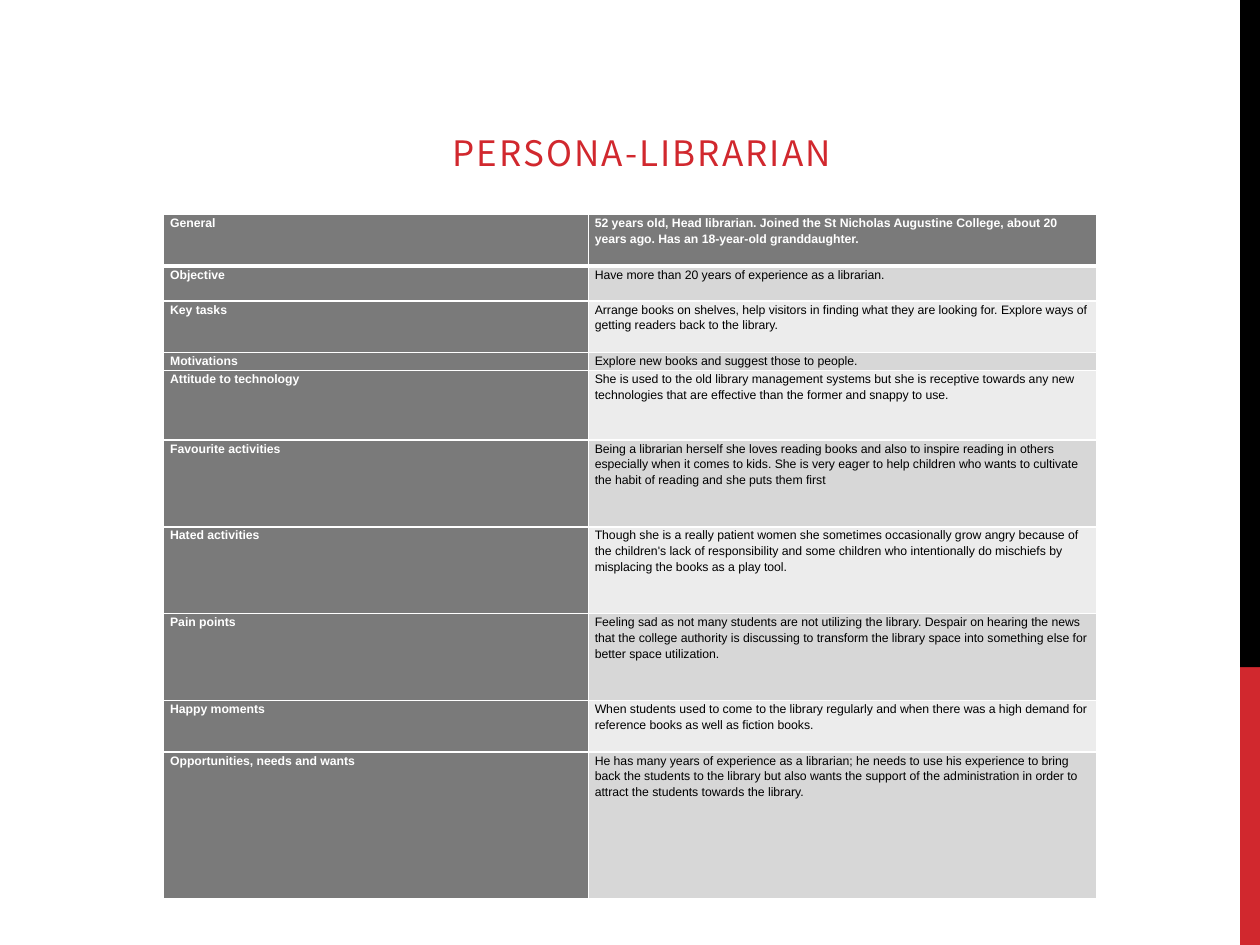
from lxml.etree import SubElement
from pptx import Presentation
from pptx.dml.color import RGBColor
from pptx.enum.shapes import MSO_SHAPE
from pptx.enum.text import MSO_ANCHOR, MSO_AUTO_SIZE, PP_ALIGN
from pptx.oxml.ns import qn
from pptx.util import Cm, Pt

COLORS = {"red": "D1282E", "black": "000000", "white": "FFFFFF",
          "label": "7A7A7A", "dark": "D7D7D7", "light": "ECECEC"}

COLS = [8.56, 10.24]
PERSONA = [
    (1.04, "General", "52 years old, Head librarian. Joined the St Nicholas Augustine College, "
     "about 20 years ago. Has an 18-year-old granddaughter."),
    (0.71, "Objective", "Have more than 20 years of experience as a librarian."),
    (1.04, "Key tasks", "Arrange books on shelves, help visitors in finding what they are "
     "looking for. Explore ways of getting readers back to the library."),
    (0.36, "Motivations", "Explore new books and suggest those to people."),
    (1.4, "Attitude to technology", "She is used to the old library management systems but she "
     "is receptive towards any new technologies that are effective than the former and snappy "
     "to use."),
    (1.75, "Favourite activities", "Being a librarian herself she loves reading books and also "
     "to inspire reading in others especially when it comes to kids. She is very eager to help "
     "children who wants to cultivate the habit of reading and she puts them first"),
    (1.75, "Hated activities", "Though she is a really patient women she sometimes occasionally "
     "grow angry because of the children's lack of responsibility and some children who "
     "intentionally do mischiefs by misplacing the books as a play tool."),
    (1.75, "Pain points", "Feeling sad as not many students are not utilizing the library. "
     "Despair on hearing the news that the college authority is discussing to transform the "
     "library space into something else for better space utilization."),
    (1.04, "Happy moments", "When students used to come to the library regularly and when there "
     "was a high demand for reference books as well as fiction books."),
    (2.95, "Opportunities, needs and wants", "He has many years of experience as a librarian; "
     "he needs to use his experience to bring back the students to the library but also wants "
     "the support of the administration in order to attract the students towards the library. "),
]


def rgb(name):
    """Return the colour kept under a name."""
    return RGBColor.from_string(COLORS[name])


def apply(obj, values):
    """Set each attribute of an object from a dict."""
    for name, value in values.items():
        setattr(obj, name, value)


def write(p, text, color, font):
    """Add one formatted run to a paragraph."""
    r = p.add_run()
    r.text = text
    apply(r.font, font)
    r.font.color.rgb = rgb(color)
    return r


def side_bar(s, x, y, w, h):
    """Draw the two-coloured bar within its box."""
    split = h * 0.706
    for top, height, color in ((split, h - split, "red"), (0, split, "black")):
        sp = s.shapes.add_shape(MSO_SHAPE.RECTANGLE, Cm(x), Cm(y + top), Cm(w), Cm(height))
        sp.shadow.inherit = False
        sp.fill.solid()
        sp.fill.fore_color.rgb = rgb(color)
        sp.line.fill.background()


def title(s, x, y, w, h, text):
    """Place the centred, letter-spaced heading in its box."""
    tf = s.shapes.add_textbox(Cm(x), Cm(y), Cm(w), Cm(h)).text_frame
    apply(tf, {"word_wrap": False, "auto_size": MSO_AUTO_SIZE.SHAPE_TO_FIT_TEXT,
               "vertical_anchor": MSO_ANCHOR.MIDDLE})
    p = tf.paragraphs[0]
    apply(p, {"alignment": PP_ALIGN.CENTER, "space_before": Pt(4), "space_after": Pt(6)})
    r = write(p, text, "red", {"size": Pt(20), "name": "Noto Sans CJK JP"})
    r.font._element.set("spc", "120")


def borders(cell, bottom):
    """Give a cell white borders, with its own bottom width in points."""
    tc_pr = cell._tc.get_or_add_tcPr()
    for side, width in (("L", 1), ("R", 1), ("T", 1), ("B", bottom)):
        ln = SubElement(tc_pr, qn(f"a:ln{side}"), w=str(Pt(width)))
        SubElement(SubElement(ln, qn("a:solidFill")), qn("a:srgbClr"), val=COLORS["white"])


def persona_table(s, x, y, w, h, rows):
    """Fill the box with a table of labels and descriptions."""
    table = s.shapes.add_table(len(rows), len(COLS), Cm(x), Cm(y), Cm(w), Cm(h)).table
    for col, width in zip(table.columns, COLS):
        col.width = Cm(width)
    for i, (height, *texts) in enumerate(rows):
        table.rows[i].height = Cm(height)
        for j, text in enumerate(texts):
            strong = i == 0 or j == 0
            cell = table.cell(i, j)
            apply(cell, {"margin_left": Cm(0.13), "margin_right": Cm(0.13),
                         "margin_top": 0, "margin_bottom": 0})
            borders(cell, 3 if i == 0 else 1)
            cell.fill.solid()
            cell.fill.fore_color.rgb = rgb("label" if strong else "dark" if i % 2 else "light")
            p = cell.text_frame.paragraphs[0]
            p.line_spacing = 1.15
            write(p, text, "white" if strong else "black",
                  {"size": Pt(7), "name": "Arial", "bold": strong})


prs = Presentation()
apply(prs, {"slide_width": Cm(25.4), "slide_height": Cm(19.05)})
s = prs.slides.add_slide(prs.slide_layouts[6])
side_bar(s, 25, 0, 0.4, 19.05)
title(s, 8.79, 2.51, 8.3, 1.12, "PERSONA-LIBRARIAN")
persona_table(s, 3.3, 4.32, sum(COLS), sum(row[0] for row in PERSONA), PERSONA)
prs.save("out.pptx")
